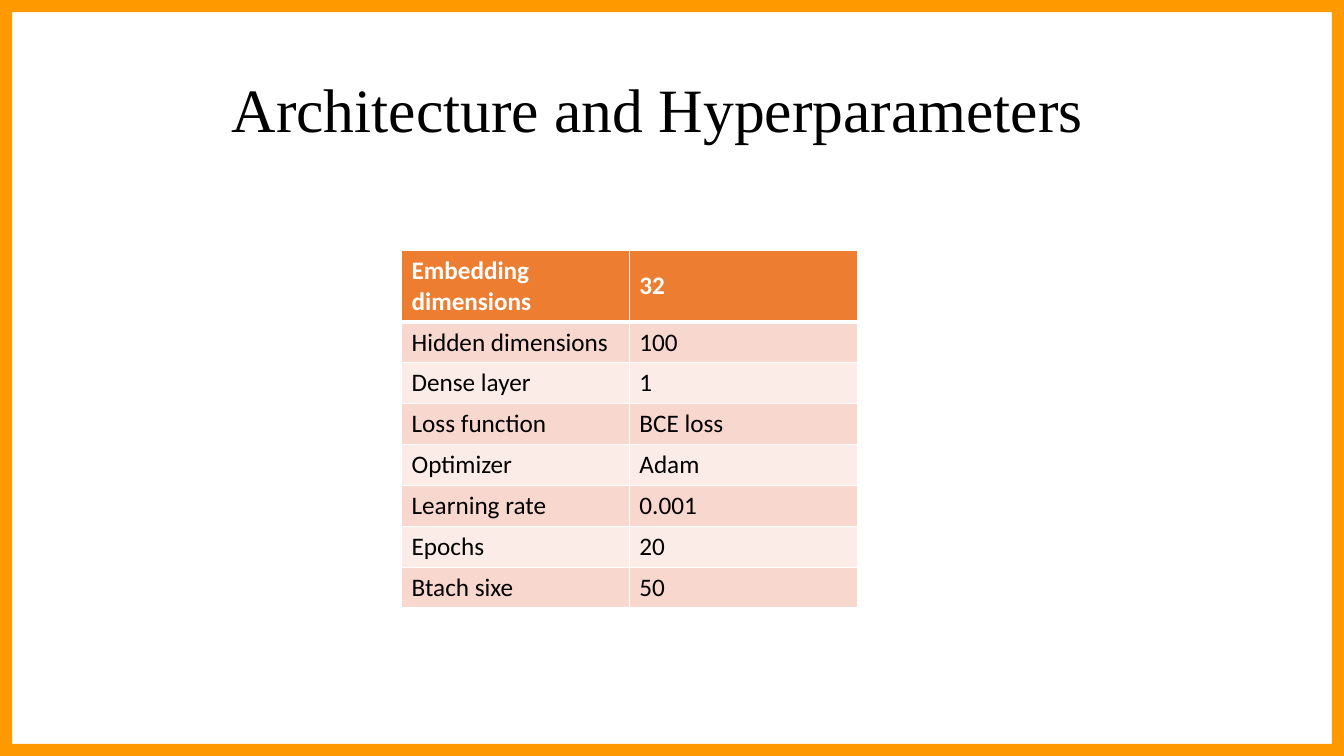
from lxml import etree
from pptx import Presentation
from pptx.dml.color import RGBColor
from pptx.enum.shapes import MSO_SHAPE
from pptx.enum.text import MSO_ANCHOR, PP_ALIGN
from pptx.oxml.ns import qn
from pptx.util import Pt

FRAME = MSO_SHAPE.FRAME
MIDDLE = MSO_ANCHOR.MIDDLE
LEFT = PP_ALIGN.LEFT

COLORS = {
    "border": "FF9900", "header": "ED7D31", "band_dark": "F8D7CE",
    "band_light": "FCECE8", "white": "FFFFFF", "black": "000000",
}
ROWS = [
    ("Embedding dimensions", "32"),
    ("Hidden dimensions", "100"),
    ("Dense layer", "1"),
    ("Loss function", "BCE loss"),
    ("Optimizer", "Adam"),
    ("Learning rate", "0.001"),
    ("Epochs", "20"),
    ("Btach sixe", "50"),
]
HEADER_H, ROW_H, COL_W = 51, 29.2, 162.75


def rgb(name):
    return RGBColor.from_string(COLORS[name])


def set_borders(cell, widths):
    """Draw white left, right, top and bottom edges, widths in points."""
    tcPr = cell._tc.get_or_add_tcPr()
    for i, (side, width) in enumerate(zip(("lnL", "lnR", "lnT", "lnB"), widths)):
        ln = etree.Element(qn("a:" + side), w=str(Pt(width)))
        fill = etree.SubElement(ln, qn("a:solidFill"))
        etree.SubElement(fill, qn("a:srgbClr"), val=COLORS["white"])
        tcPr.insert(i, ln)


prs = Presentation()
prs.slide_width, prs.slide_height = Pt(960), Pt(540)
s = prs.slides.add_slide(prs.slide_layouts[5])

# Title, indented from the left of its box
title = s.shapes.title
title.left, title.top, title.width, title.height = Pt(16), Pt(28), Pt(828), Pt(104.4)
tf = title.text_frame
tf.text = "Architecture and Hyperparameters"
tf.vertical_anchor = MIDDLE
tf.margin_left = Pt(149.5)
p = tf.paragraphs[0]
p.alignment = LEFT
p.line_spacing = 0.9
p.font.name, p.font.size = "Times New Roman", Pt(44)
p.font.color.rgb = rgb("black")

# Hyperparameter table
table_h = HEADER_H + ROW_H * (len(ROWS) - 1)
table = s.shapes.add_table(len(ROWS), 2, Pt(286.8), Pt(178.8),
                           Pt(2 * COL_W), Pt(table_h)).table
for col in table.columns:
    col.width = Pt(COL_W)
for i, values in enumerate(ROWS):
    header = i == 0
    table.rows[i].height = Pt(HEADER_H if header else ROW_H)
    band = "header" if header else "band_dark" if i % 2 else "band_light"
    for j, value in enumerate(values):
        cell = table.cell(i, j)
        cell.text = value
        cell.vertical_anchor = MIDDLE
        cell.fill.solid()
        cell.fill.fore_color.rgb = rgb(band)
        set_borders(cell, (1, 1, 3 if i == 1 else 1, 3 if header else 1))
        font = cell.text_frame.paragraphs[0].font
        font.name, font.size, font.bold = "Calibri", Pt(18), header
        font.color.rgb = rgb("white" if header else "black")

# Border around the slide
frame = s.shapes.add_shape(FRAME, 0, 0, prs.slide_width, prs.slide_height)
frame.adjustments[0] = 0.016
frame.shadow.inherit = False
frame.fill.solid()
frame.fill.fore_color.rgb = rgb("border")
frame.line.fill.background()

prs.save("out.pptx")
